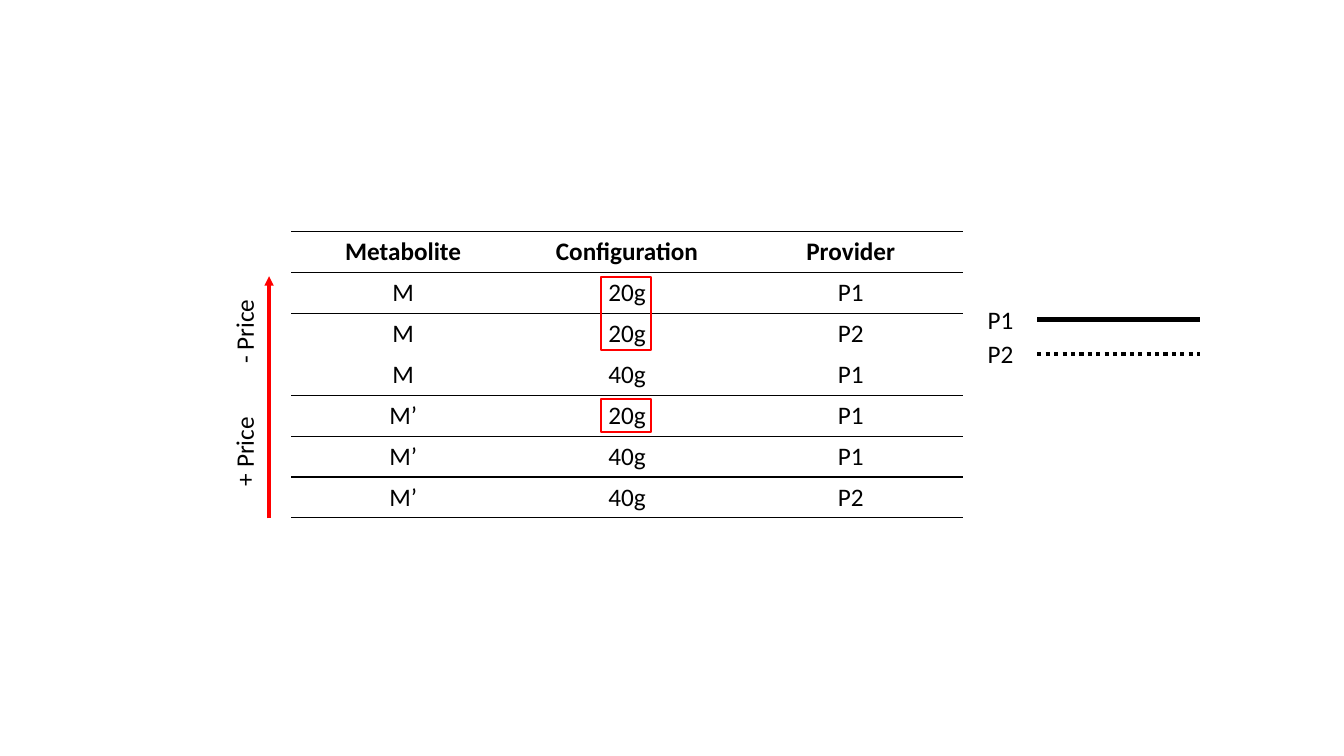
"""Builds a slide with a metabolite table, a price arrow and a provider legend."""
from lxml import etree
from pptx import Presentation
from pptx.dml.color import RGBColor
from pptx.enum.dml import MSO_LINE
from pptx.enum.shapes import MSO_CONNECTOR, MSO_SHAPE
from pptx.enum.text import MSO_ANCHOR, MSO_AUTO_SIZE, PP_ALIGN
from pptx.oxml.ns import qn
from pptx.util import Cm, Pt

BLACK = RGBColor(0, 0, 0)
RED = RGBColor(255, 0, 0)
STRAIGHT = MSO_CONNECTOR.STRAIGHT
RECTANGLE = MSO_SHAPE.RECTANGLE
MIDDLE = MSO_ANCHOR.MIDDLE
FIT_SHAPE = MSO_AUTO_SIZE.SHAPE_TO_FIT_TEXT
CENTER = PP_ALIGN.CENTER
SOLID, DOTTED = MSO_LINE.SOLID, MSO_LINE.ROUND_DOT
NO_STYLE = "{2D5ABB26-0587-4C30-8999-92F81FD0307C}"

TABLE_LEFT, TABLE_TOP = 7.34, 5.84
COLUMN_WIDTH, ROW_HEIGHT = 5.64, 1.03
ROWS = [
    ("Metabolite", "Configuration", "Provider"),
    ("M", "20g", "P1"),
    ("M", "20g", "P2"),
    ("M", "40g", "P1"),
    ("M’", "20g", "P1"),
    ("M’", "40g", "P1"),
    ("M’", "40g", "P2"),
]
RULED_BELOW = {0, 3, 4, 6}


def write(paragraph, text, bold=False):
    run = paragraph.add_run()
    run.text = text
    run.font.name = "Calibri"
    run.font.size = Pt(18)
    run.font.bold = bold
    run.font.color.rgb = BLACK


def draw_line(start, end, color, width):
    x1, y1, x2, y2 = (Cm(length) for length in (*start, *end))
    connector = slide.shapes.add_connector(STRAIGHT, x1, y1, x2, y2)
    connector.line.color.rgb = color
    connector.line.width = Pt(width)
    etree.SubElement(connector._element.spPr, qn("a:effectLst"))
    return connector.line


deck = Presentation()
deck.slide_width, deck.slide_height = Cm(33.87), Cm(19.05)
slide = deck.slides.add_slide(deck.slide_layouts[6])

price_table = slide.shapes.add_table(
    len(ROWS), 3, Cm(TABLE_LEFT), Cm(TABLE_TOP),
    Cm(3 * COLUMN_WIDTH), Cm(len(ROWS) * ROW_HEIGHT)).table
price_table.horz_banding = False
price_table._tbl.tblPr.find(qn("a:tableStyleId")).text = NO_STYLE
for column in price_table.columns:
    column.width = Cm(COLUMN_WIDTH)

for row, values in enumerate(ROWS):
    price_table.rows[row].height = Cm(ROW_HEIGHT)
    for col, value in enumerate(values):
        cell = price_table.cell(row, col)
        cell.vertical_anchor = MIDDLE
        paragraph = cell.text_frame.paragraphs[0]
        paragraph.alignment = CENTER
        write(paragraph, value, bold=row == 0)
        edges = [("a:lnT", row == 0 or row - 1 in RULED_BELOW),
                 ("a:lnB", row in RULED_BELOW)]
        for edge, ruled in edges:
            if ruled:
                border = etree.SubElement(cell._tc.get_or_add_tcPr(), qn(edge), w=str(Pt(1)))
                ink = etree.SubElement(border, qn("a:solidFill"))
                etree.SubElement(ink, qn("a:srgbClr"), val=str(BLACK))
        cell.fill.background()

for first_row, height in [(1, 1.85), (4, 0.82)]:
    top = TABLE_TOP + first_row * ROW_HEIGHT + 0.1
    highlight = slide.shapes.add_shape(RECTANGLE, Cm(15.14), Cm(top), Cm(1.27), Cm(height))
    highlight.shadow.inherit = False
    highlight.fill.background()
    highlight.line.color.rgb = RED
    highlight.line.width = Pt(1.5)

price_arrow = draw_line((6.78, 13.06), (6.78, 6.96), RED, 2.25)
etree.SubElement(price_arrow._get_or_add_ln(), qn("a:tailEnd"), type="triangle")

for provider, y, dash in [("P1", 8.05, SOLID), ("P2", 8.92, DOTTED)]:
    draw_line((26.14, y), (30.25, y), BLACK, 3).dash_style = dash

LABELS = [
    ("- Price", 5.51, 7.54, 1.27, 1.88, True),
    ("+ Price", 5.51, 10.49, 1.27, 2.01, True),
    ("P1", 24.64, 7.54, 1.5, 1.02, False),
    ("P2", 24.64, 8.41, 1.5, 1.02, False),
]
for text, left, top, width, height, upright in LABELS:
    frame = slide.shapes.add_textbox(Cm(left), Cm(top), Cm(width), Cm(height)).text_frame
    frame.word_wrap = not upright
    frame.auto_size = FIT_SHAPE
    if upright:
        frame.vertical_anchor = MIDDLE
        frame._txBody.bodyPr.set("vert", "vert270")
    write(frame.paragraphs[0], text)

deck.save("out.pptx")
